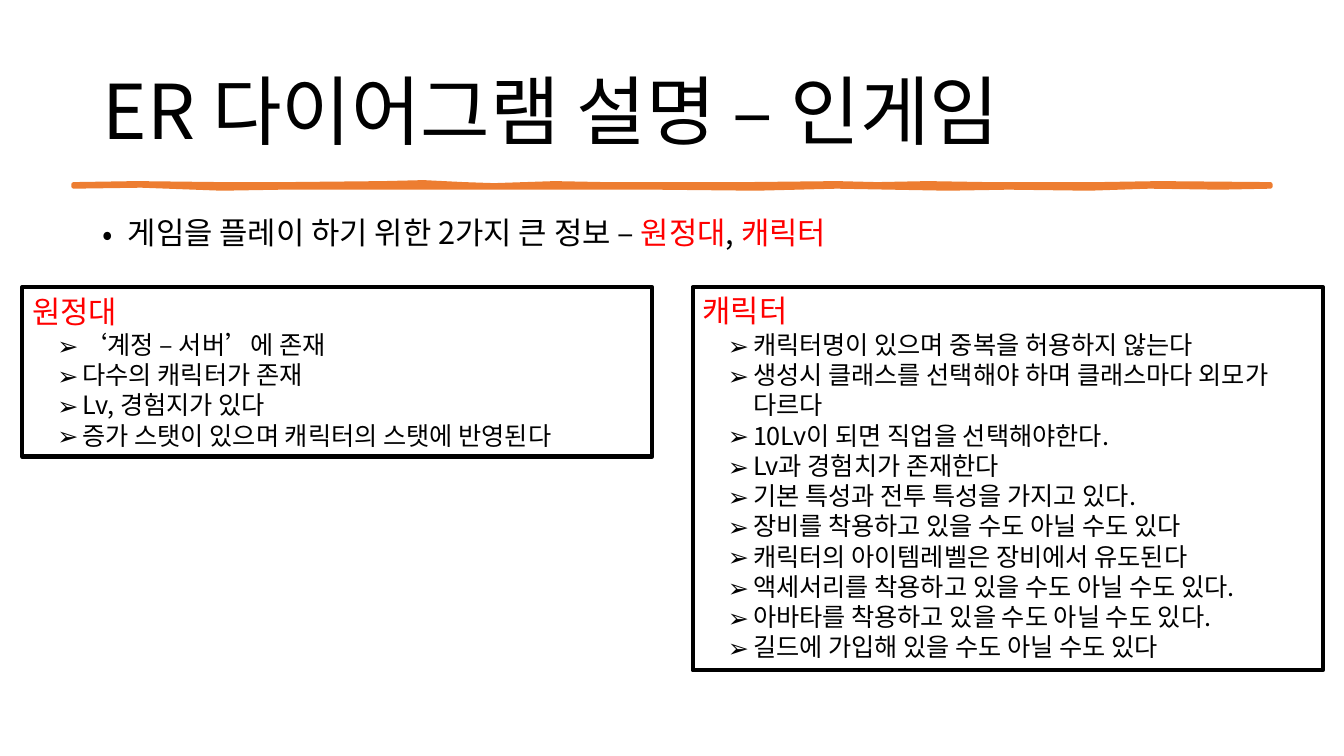
from pptx import Presentation
from pptx.dml.color import RGBColor
from pptx.enum.shapes import MSO_SHAPE
from pptx.enum.text import MSO_ANCHOR as Anchor, MSO_AUTO_SIZE as AutoSize, PP_ALIGN as Align
from pptx.oxml.ns import qn
from pptx.util import Inches, Pt
from lxml.etree import SubElement

COLORS = {"ink": "000000", "accent": "FF0000", "brush": "ED7D31"}
HANGING = 0.25


class SlideWriter:
    """Holds the slide and its style, and draws each kind of element."""

    def __init__(self, slide, font="Noto Sans CJK KR"):
        self.slide, self.font = slide, font

    def color(self, name):
        return RGBColor.from_string(COLORS[name])

    def paragraph(self, frame, runs, size, first=False, bullet=None, margin=0, leading=1.2):
        para = frame.paragraphs[0] if first else frame.add_paragraph()
        para.alignment = Align.LEFT
        para.line_spacing = Pt(round(size * leading, 1))
        props = para._p.get_or_add_pPr()
        if bullet:
            props.set("marL", str(Inches(margin)))
            props.set("indent", str(-Inches(HANGING)))
            SubElement(props, qn("a:buFont")).set("typeface", self.font)
            SubElement(props, qn("a:buChar")).set("char", bullet)
        for text, color in runs:
            run = para.add_run()
            run.text = text
            run.font.size = Pt(size)
            run.font.name = self.font
            run.font.color.rgb = self.color(color)
            SubElement(run._r.get_or_add_rPr(), qn("a:ea")).set("typeface", self.font)

    def text(self, place, runs, size, anchor=Anchor.TOP, **style):
        frame = self.slide.shapes.add_textbox(*map(Inches, place)).text_frame
        frame.word_wrap = True
        frame.vertical_anchor = anchor
        self.paragraph(frame, runs, size, first=True, leading=1.08, **style)

    def panel(self, place, heading, facts):
        box = self.slide.shapes.add_shape(MSO_SHAPE.RECTANGLE, *map(Inches, place))
        box.shadow.inherit = False
        box.fill.background()
        box.line.color.rgb = self.color("ink")
        box.line.width = Pt(3)
        frame = box.text_frame
        frame.word_wrap = True
        frame.auto_size = AutoSize.SHAPE_TO_FIT_TEXT
        frame.vertical_anchor = Anchor.TOP
        self.paragraph(frame, [(heading, "accent")], 22, first=True)
        for fact in facts:
            self.paragraph(frame, [(fact, "ink")], 18, bullet="➢", margin=0.5)

    def brush_stroke(self, top, bottom):
        outline = [(Inches(x), Inches(y)) for x, y in top + bottom[::-1]]
        builder = self.slide.shapes.build_freeform(*outline[0], scale=1.0)
        builder.add_line_segments(outline[1:], close=True)
        stroke = builder.convert_to_shape()
        stroke.shadow.inherit = False
        stroke.fill.solid()
        stroke.fill.fore_color.rgb = self.color("brush")
        stroke.line.color.rgb = self.color("brush")
        stroke.line.width = Pt(3.25)


deck = Presentation()
deck.slide_width, deck.slide_height = Inches(13.33), Inches(7.5)
writer = SlideWriter(deck.slides.add_slide(deck.slide_layouts[6]))

writer.text((0.92, 0.4, 11.5, 1.45), [("ER 다이어그램 설명 – 인게임", "ink")], 54, anchor=Anchor.MIDDLE)

stroke_top = [(0.73, 1.83), (1.35, 1.82), (2.2, 1.83), (2.84, 1.83), (3.8, 1.82), (4.2, 1.81),
              (4.6, 1.83), (4.9, 1.84), (5.5, 1.82), (6, 1.83), (7.4, 1.83), (8.3, 1.82),
              (8.7, 1.83), (9.2, 1.82), (9.8, 1.83), (10.4, 1.83), (10.9, 1.83), (11.5, 1.82), (12.6, 1.83)]
stroke_bottom = [(0.73, 1.85), (1.4, 1.84), (2.2, 1.87), (2.8, 1.86), (3.5, 1.86), (4.2, 1.86),
                 (5, 1.86), (5.9, 1.86), (6.5, 1.86), (7.5, 1.87), (8.3, 1.85), (9.4, 1.87),
                 (10, 1.86), (10.8, 1.87), (11.4, 1.85), (12.1, 1.86), (12.6, 1.85)]
writer.brush_stroke(stroke_top, stroke_bottom)

writer.text((0.92, 2.11, 11.5, 0.49),
            [("게임을 플레이 하기 위한 2가지 큰 정보 – ", "ink"), ("원정대", "accent"),
             (", ", "ink"), ("캐릭터", "accent")],
            22, bullet="•", margin=HANGING)

expedition_facts = [
    "‘계정 – 서버’에 존재",
    "다수의 캐릭터가 존재",
    "Lv, 경험지가 있다",
    "증가 스탯이 있으며 캐릭터의 스탯에 반영된다",
]
character_facts = [
    "캐릭터명이 있으며 중복을 허용하지 않는다",
    "생성시 클래스를 선택해야 하며 클래스마다 외모가 다르다",
    "10Lv이 되면 직업을 선택해야한다.",
    "Lv과 경험치가 존재한다",
    "기본 특성과 전투 특성을 가지고 있다.",
    "장비를 착용하고 있을 수도 아닐 수도 있다",
    "캐릭터의 아이템레벨은 장비에서 유도된다",
    "액세서리를 착용하고 있을 수도 아닐 수도 있다.",
    "아바타를 착용하고 있을 수도 아닐 수도 있다.",
    "길드에 가입해 있을 수도 아닐 수도 있다",
]
writer.panel((0.22, 2.85, 6.25, 1.68), "원정대", expedition_facts)
writer.panel((6.87, 2.85, 6.25, 3.8), "캐릭터", character_facts)

deck.save("out.pptx")
